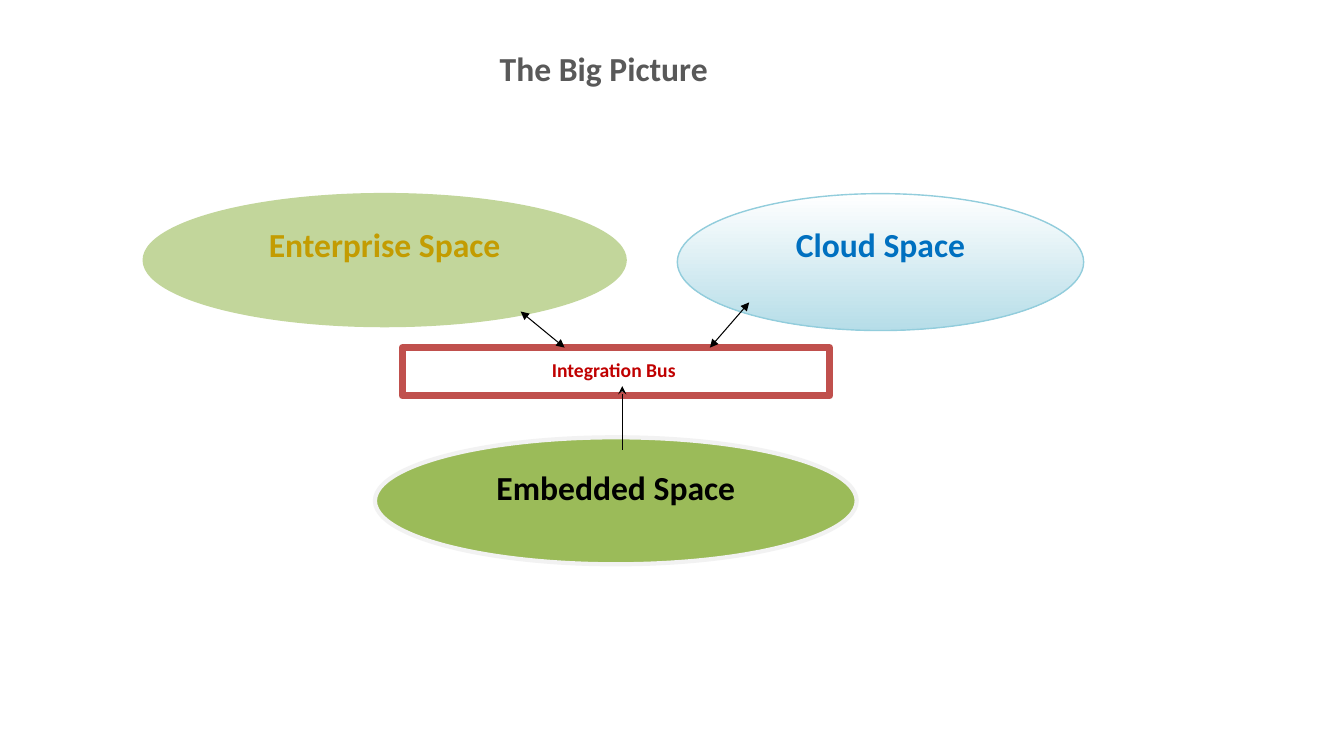
from lxml.etree import SubElement
from pptx import Presentation
from pptx.dml.color import RGBColor
from pptx.enum.shapes import MSO_CONNECTOR, MSO_SHAPE
from pptx.enum.text import MSO_ANCHOR, PP_ALIGN
from pptx.oxml.ns import qn
from pptx.util import Cm, Pt

WHITE = RGBColor(0xFF, 0xFF, 0xFF)
BLACK = RGBColor(0x00, 0x00, 0x00)
GREY = RGBColor(0x59, 0x59, 0x59)
PALE_GREY = RGBColor(0xF2, 0xF2, 0xF2)
PALE_GREEN = RGBColor(0xC2, 0xD6, 0x9B)
GREEN = RGBColor(0x9B, 0xBB, 0x59)
GOLD = RGBColor(0xC3, 0x9C, 0x01)
PALE_BLUE = RGBColor(0xB6, 0xDD, 0xE8)
SKY = RGBColor(0x92, 0xCD, 0xDC)
BLUE = RGBColor(0x00, 0x70, 0xC0)
BRICK = RGBColor(0xC0, 0x50, 0x4D)
RED = RGBColor(0xC0, 0x00, 0x00)


def write(s, text, size, color, top, anchor, spacing=None):
    """Put one centred bold line of text in a shape."""
    tf = s.text_frame
    tf.word_wrap = True
    tf.vertical_anchor = anchor
    tf.margin_left = tf.margin_right = Cm(0.25)
    tf.margin_top, tf.margin_bottom = Cm(top), Cm(0.13)
    p = tf.paragraphs[0]
    p.alignment = PP_ALIGN.CENTER
    p.line_spacing = spacing
    r = p.add_run()
    r.text = text
    r.font.name, r.font.size, r.font.bold = "Calibri", Pt(size), True
    r.font.color.rgb = color


def add_title(slide, x, y, w, h):
    """Place and format the slide title."""
    s = slide.shapes.title
    s.left, s.top, s.width, s.height = Cm(x), Cm(y), Cm(w), Cm(h)
    write(s, "The Big Picture", 24, GREY, 0.33, MSO_ANCHOR.MIDDLE)


def add_block(slide, kind, box, text, size, color, fills, line, weight):
    """Draw a labelled block with a solid fill or a top-down gradient."""
    s = slide.shapes.add_shape(kind, *(Cm(v) for v in box))
    s.shadow.inherit = False
    if len(fills) == 1:
        s.fill.solid()
        s.fill.fore_color.rgb = fills[0]
    else:
        s.fill.gradient()
        s.fill.gradient_angle = 270
        for i, (stop, fill) in enumerate(zip(s.fill.gradient_stops, fills)):
            stop.position = i
            stop.color.rgb = fill
    s.line.color.rgb = line
    s.line.width = Pt(weight)
    write(s, text, size, color, 0.25, MSO_ANCHOR.TOP, 1.02)


def add_arrow(slide, x1, y1, x2, y2, **heads):
    """Draw a thin black line with the given arrowheads."""
    s = slide.shapes.add_connector(
        MSO_CONNECTOR.STRAIGHT, Cm(x1), Cm(y1), Cm(x2), Cm(y2))
    s.line.color.rgb = BLACK
    s.line.width = Pt(0.75)
    ln = s.line._get_or_add_ln()
    for end, head in heads.items():
        SubElement(ln, qn("a:" + end), type=head)
    SubElement(s._element.spPr, qn("a:effectLst"))


def add_diagram(slide, x, y):
    """Draw the three spaces joined by the integration bus."""
    oval, rect = MSO_SHAPE.OVAL, MSO_SHAPE.RECTANGLE
    blocks = [
        (oval, 0, 0, 12.17, 3.35, "Enterprise Space", 24, GOLD,
         [PALE_GREEN], PALE_GREEN, 1),
        (oval, 5.84, 6.14, 12.14, 3.2, "Embedded Space", 24, BLACK,
         [GREEN], PALE_GREY, 3),
        (oval, 13.46, 0, 10.24, 3.45, "Cloud Space", 24, BLUE,
         [WHITE, PALE_BLUE], SKY, 1),
        (rect, 6.53, 3.88, 10.77, 1.22, "Integration Bus ", 14, RED,
         [WHITE], BRICK, 5),
    ]
    for kind, dx, dy, w, h, *style in blocks:
        add_block(slide, kind, (x + dx, y + dy, w, h), *style)
    both = {"headEnd": "triangle", "tailEnd": "triangle"}
    arrows = [
        (14.28, 3.88, 15.27, 2.74, both),
        (10.62, 3.88, 9.51, 2.97, both),
        (12.07, 6.45, 12.07, 4.85, {"tailEnd": "stealth"}),
    ]
    for x1, y1, x2, y2, heads in arrows:
        add_arrow(slide, x + x1, y + y1, x + x2, y + y2, **heads)


def main():
    """Build the slide and save it."""
    prs = Presentation()
    prs.slide_width, prs.slide_height = Cm(33.87), Cm(19.05)
    slide = prs.slides.add_slide(prs.slide_layouts[5])
    add_title(slide, 7.62, 0.84, 15.19, 1.55)
    add_diagram(slide, 3.61, 4.88)
    prs.save("out.pptx")


if __name__ == "__main__":
    main()
